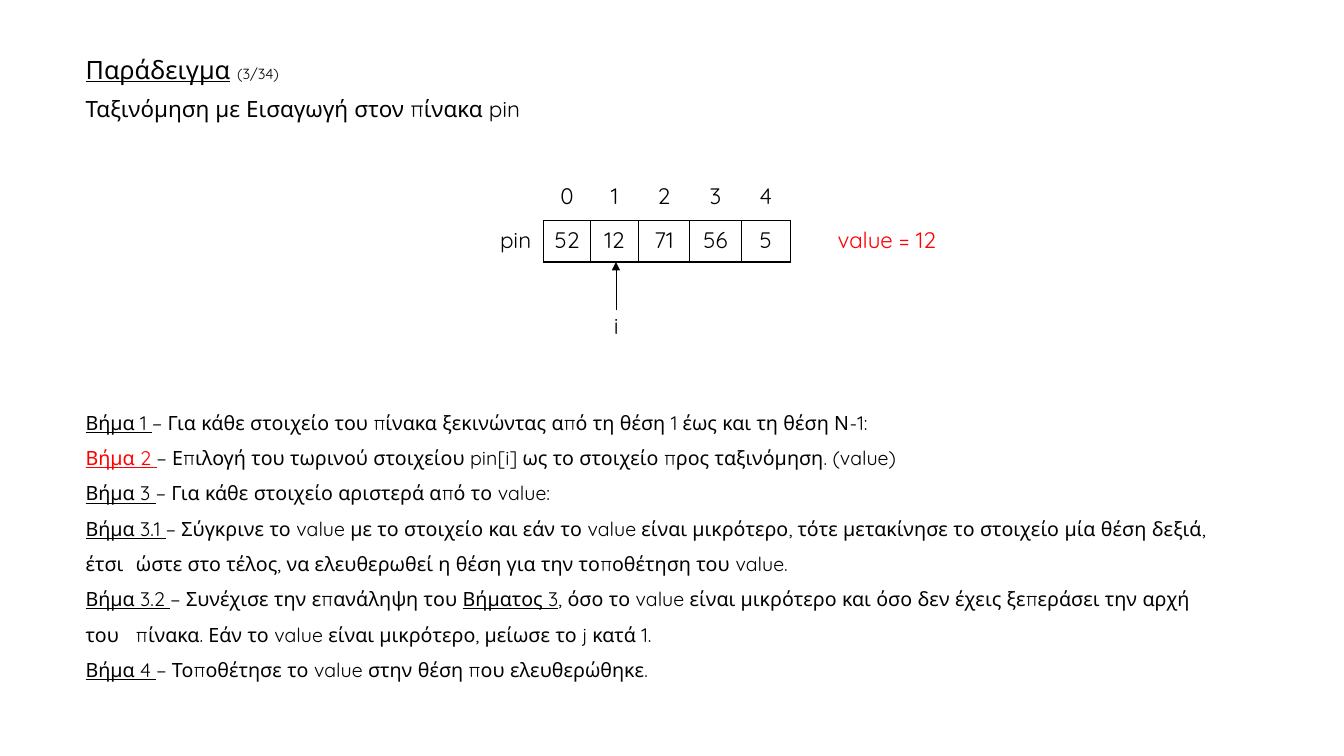
from lxml.etree import SubElement
from pptx import Presentation
from pptx.dml.color import RGBColor
from pptx.enum.shapes import MSO_CONNECTOR
from pptx.enum.text import MSO_AUTO_SIZE, PP_ALIGN
from pptx.oxml import parse_xml
from pptx.oxml.ns import nsdecls, qn
from pptx.util import Inches, Pt

COLORS = {"ink": "000000", "accent": "FF0000"}
FONT = "Quicksand"
WIDTH, HEIGHT = Inches(13.33), Inches(7.5)
INDEXES = ["0", "1", "2", "3", "4"]
VALUES = ["52", "12", "71", "56", "5"]
COLUMN_SHARES = [4.13, 3.53, 3.53, 3.83, 3.83, 3.68]
ROW_SHARES = [5.73, 5.47]
LEFT_MARGIN = 5.63
STEPS = [
    ("1", ["− Για κάθε στοιχείο του πίνακα ξεκινώντας από τη θέση 1 έως και τη θέση Ν-1:"]),
    ("2", ["− Επιλογή του τωρινού στοιχείου pin[i] ως το στοιχείο προς ταξινόμηση. (value)"]),
    ("3", ["− Για κάθε στοιχείο αριστερά από το value:"]),
    ("3.1", ["− Σύγκρινε το value με το στοιχείο και εάν το value είναι μικρότερο, τότε "
             "μετακίνησε το στοιχείο μία θέση δεξιά, έτσι \tώστε στο τέλος, να ελευθερωθεί "
             "η θέση για την τοποθέτηση του value."]),
    ("3.2", ["− Συνέχισε την επανάληψη του ", "Βήματος 3",
             ", όσο το value είναι μικρότερο και όσο δεν έχεις ξεπεράσει την αρχή του "
             "\tπίνακα. Εάν το value είναι μικρότερο, μείωσε το j κατά 1."]),
    ("4", ["− Τοποθέτησε το value στην θέση που ελευθερώθηκε."]),
]
CURRENT_STEP = "2"


def across(share):
    return round(WIDTH * share / 100)


def down(share):
    return round(HEIGHT * share / 100)


def area(left, top, width, height):
    return across(left), down(top), across(width), down(height)


def add_span(para, text, size=16, color="ink", underline=False):
    span = para.add_run()
    span.text = text
    span.font.size = Pt(size)
    span.font.name = FONT
    span.font.underline = underline
    span.font.color.rgb = RGBColor.from_string(COLORS[color])


def add_text(page, place, paragraphs, align=PP_ALIGN.LEFT, spacing=0.9, before=10, grow=False):
    box = page.shapes.add_textbox(*area(*place))
    frame = box.text_frame
    frame.word_wrap = True
    frame.auto_size = MSO_AUTO_SIZE.SHAPE_TO_FIT_TEXT if grow else MSO_AUTO_SIZE.NONE
    for number, spans in enumerate(paragraphs):
        para = frame.add_paragraph() if number else frame.paragraphs[0]
        para.alignment = align
        para.line_spacing = spacing
        para.space_before = Pt(before)
        for text, style in spans:
            add_span(para, text, **style)
    return box


def step_spans(label, parts):
    color = "accent" if label == CURRENT_STEP else "ink"
    spans = [(f"Βήμα {label} ", {"size": 14, "color": color, "underline": True})]
    for number, part in enumerate(parts):
        spans.append((part, {"size": 14, "underline": number % 2 == 1}))
    return spans


def set_borders(cell, sides):
    properties = cell._tc.get_or_add_tcPr()
    for position, side in enumerate("LRTB"):
        shown = side in sides
        paint = (f'<a:solidFill><a:srgbClr val="{COLORS["ink"]}"/></a:solidFill>'
                 if shown else "<a:noFill/>")
        line = parse_xml(f'<a:ln{side} {nsdecls("a")} w="{Pt(1)}">{paint}</a:ln{side}>')
        properties.insert(position, line)


def add_array(page, left, top):
    place = area(left, top, sum(COLUMN_SHARES), sum(ROW_SHARES))
    table = page.shapes.add_table(len(ROW_SHARES), len(COLUMN_SHARES), *place).table
    table.first_row = table.horz_banding = False
    for column, share in zip(table.columns, COLUMN_SHARES):
        column.width = across(share)
    for row, share in zip(table.rows, ROW_SHARES):
        row.height = down(share)
    for row, texts in enumerate([[""] + INDEXES, ["pin"] + VALUES]):
        for column, text in enumerate(texts):
            cell = table.cell(row, column)
            cell.fill.background()
            if column:
                set_borders(cell, "LRTB" if row else "B")
            else:
                set_borders(cell, "R" if row else "")
            para = cell.text_frame.paragraphs[0]
            para.alignment = PP_ALIGN.CENTER
            if text:
                add_span(para, text)


def add_pointer(page, box, tip):
    middle = box.left + box.width // 2
    arrow = page.shapes.add_connector(MSO_CONNECTOR.STRAIGHT, middle, box.top, middle, down(tip))
    arrow.begin_connect(box, 0)
    arrow.line.width = Pt(0.5)
    arrow.line.color.rgb = RGBColor.from_string(COLORS["ink"])
    SubElement(arrow.line._get_or_add_ln(), qn("a:tailEnd"), type="triangle")
    SubElement(arrow._element.spPr, qn("a:effectLst"))


def main():
    deck = Presentation()
    deck.slide_width, deck.slide_height = WIDTH, HEIGHT
    page = deck.slides.add_slide(deck.slide_layouts[6])
    add_text(page, (LEFT_MARGIN, 52.13, 86.48, 38.4),
             [step_spans(*step) for step in STEPS], spacing=1.5, before=0, grow=True)
    index_box = add_text(page, (44.93, 41.07, 1.8, 4.8), [[("i", {})]], align=PP_ALIGN.CENTER)
    add_pointer(page, index_box, 34.67)
    add_text(page, (61.58, 29.6, 9.83, 6.27), [[("value = 12", {"color": "accent"})]])
    add_text(page, (LEFT_MARGIN, 6.93, 80.93, 10.27), [
        [("Παράδειγμα", {"size": 18, "underline": True}), (" ", {"size": 18}),
         ("(3/34)", {"size": 10.5})],
        [("Ταξινόμηση με Εισαγωγή στον πίνακα pin", {})],
    ])
    add_array(page, 36.3, 23.47)
    deck.save("out.pptx")


if __name__ == "__main__":
    main()
